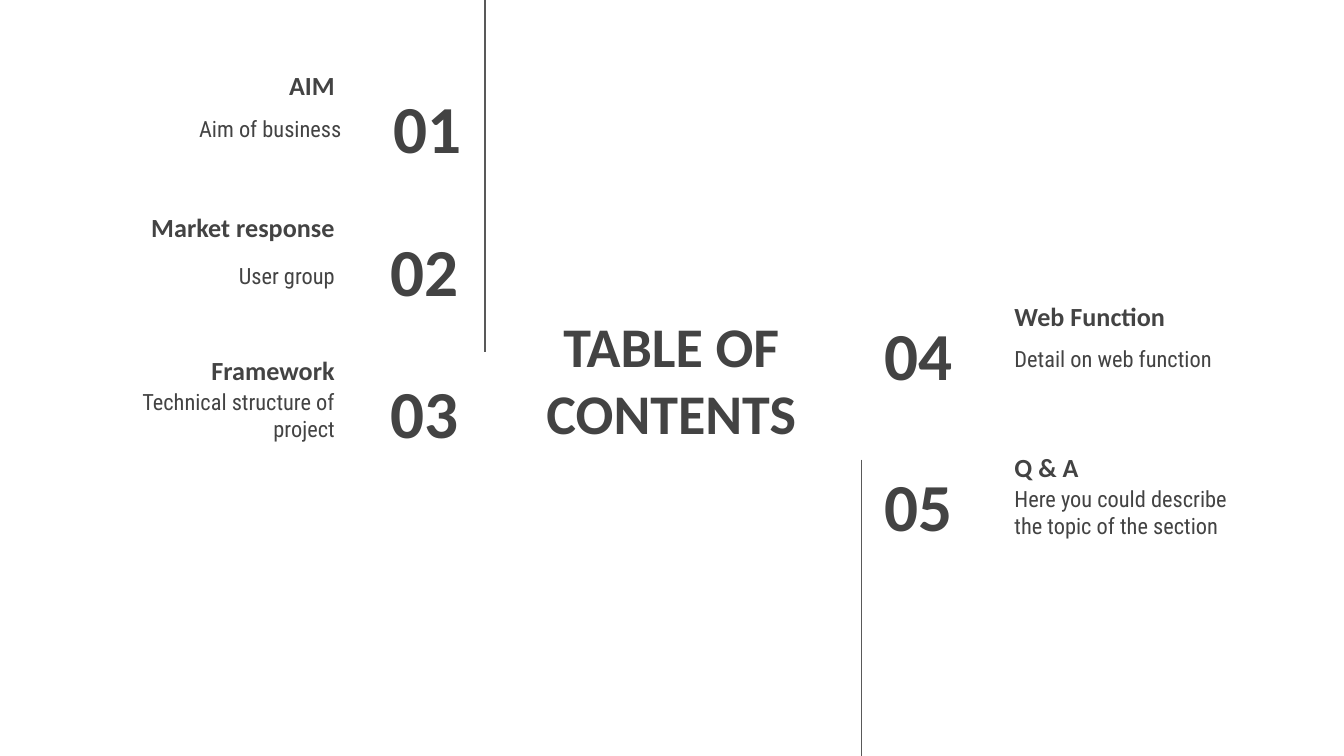
"""Build a table of contents slide with numbered sections on both sides of a title."""
from lxml import etree
from pptx import Presentation
from pptx.dml.color import RGBColor
from pptx.enum.shapes import MSO_CONNECTOR
from pptx.enum.text import MSO_ANCHOR, PP_ALIGN
from pptx.oxml.ns import qn
from pptx.util import Inches, Pt

LEFT, CENTER, RIGHT = PP_ALIGN.LEFT, PP_ALIGN.CENTER, PP_ALIGN.RIGHT
TOP, MIDDLE, BOTTOM = MSO_ANCHOR.TOP, MSO_ANCHOR.MIDDLE, MSO_ANCHOR.BOTTOM
STRAIGHT = MSO_CONNECTOR.STRAIGHT

WIDTH = 10
HEIGHT = WIDTH * 9 / 16
INSET = 0.1
ROW_HEIGHT = 0.63

THEME = {
    "text": RGBColor.from_string("434343"),
    "line": RGBColor.from_string("595959"),
    "line_width": 0.75,
    "title": {"name": "Calibri", "size": Pt(30), "bold": True},
    "number": {"name": "Calibri", "size": Pt(36), "bold": True},
    "heading": {"name": "Calibri", "size": Pt(14), "bold": True},
    "detail": {"name": "Roboto Condensed", "size": Pt(12), "bold": False},
}

TITLE = ("TABLE OF CONTENTS", (3.7, 2.3, 2.59, 1.03))

COLUMNS = [
    {
        "align": RIGHT, "top": 0.22, "pitch": 1.06, "number_drop": 0.41,
        "heading": (0.43, 2.16), "detail": (0.76, 1.83), "number": (2.3, 1.21),
        "sections": [
            {"number": "01", "heading": "AIM", "detail": "Aim of business",
             "drop": 0.54, "height": 0.36, "shift": 0.05, "number_shift": 0.02},
            {"number": "02", "heading": "Market response", "detail": "User group",
             "drop": 0.57, "height": 0.45},
            {"number": "03", "heading": "Framework",
             "detail": "Technical structure of project", "drop": 0.45},
        ],
    },
    {
        "align": LEFT, "top": 1.94, "pitch": 1.12, "number_drop": 0.38,
        "heading": (7.45, 2.16), "detail": (7.45, 1.83), "number": (6.48, 1.17),
        "sections": [
            {"number": "04", "heading": "Web Function",
             "detail": "Detail on web function", "drop": 0.53, "height": 0.36},
            {"number": "05", "heading": "Q & A",
             "detail": "Here you could describe the topic of the section",
             "drop": 0.45},
        ],
    },
]

RULES = [(3.61, 0, 2.62), (6.41, 3.42, 5.64)]


def add_text(page, text, area, style, align, anchor):
    box = page.shapes.add_textbox(*map(Inches, area))
    frame = box.text_frame
    settings = {"word_wrap": True, "vertical_anchor": anchor}
    for side in ("left", "top", "right", "bottom"):
        settings[f"margin_{side}"] = Inches(INSET)
    for name, value in settings.items():
        setattr(frame, name, value)
    para = frame.paragraphs[0]
    para.alignment = align
    span = para.add_run()
    span.text = text
    for name, value in THEME[style].items():
        setattr(span.font, name, value)
    span.font.color.rgb = THEME["text"]


def add_section(page, column, row, section):
    top = column["top"] + row * column["pitch"]
    detail_height = section.get("height", ROW_HEIGHT)
    number_shift = section.get("number_shift", 0)
    parts = [
        ("heading", 0, 0, ROW_HEIGHT, BOTTOM),
        ("detail", section["drop"], section.get("shift", 0), detail_height, TOP),
        ("number", column["number_drop"], number_shift, ROW_HEIGHT, MIDDLE),
    ]
    for part, drop, shift, height, anchor in parts:
        left, width = column[part]
        area = (left + shift, top + drop, width, height)
        add_text(page, section[part], area, part, column["align"], anchor)


def add_rule(page, across, start, end):
    rule = page.shapes.add_connector(
        STRAIGHT, *map(Inches, (across, start, across, end)))
    rule.line.color.rgb = THEME["line"]
    rule.line.width = Pt(THEME["line_width"])
    etree.SubElement(rule.element.spPr, qn("a:effectLst"))


def main():
    deck = Presentation()
    deck.slide_width, deck.slide_height = Inches(WIDTH), Inches(HEIGHT)
    page = deck.slides.add_slide(deck.slide_layouts[6])
    text, area = TITLE
    add_text(page, text, area, "title", CENTER, MIDDLE)
    for column in COLUMNS:
        for row, section in enumerate(column["sections"]):
            add_section(page, column, row, section)
    for rule in RULES:
        add_rule(page, *rule)
    deck.save("out.pptx")


if __name__ == "__main__":
    main()
